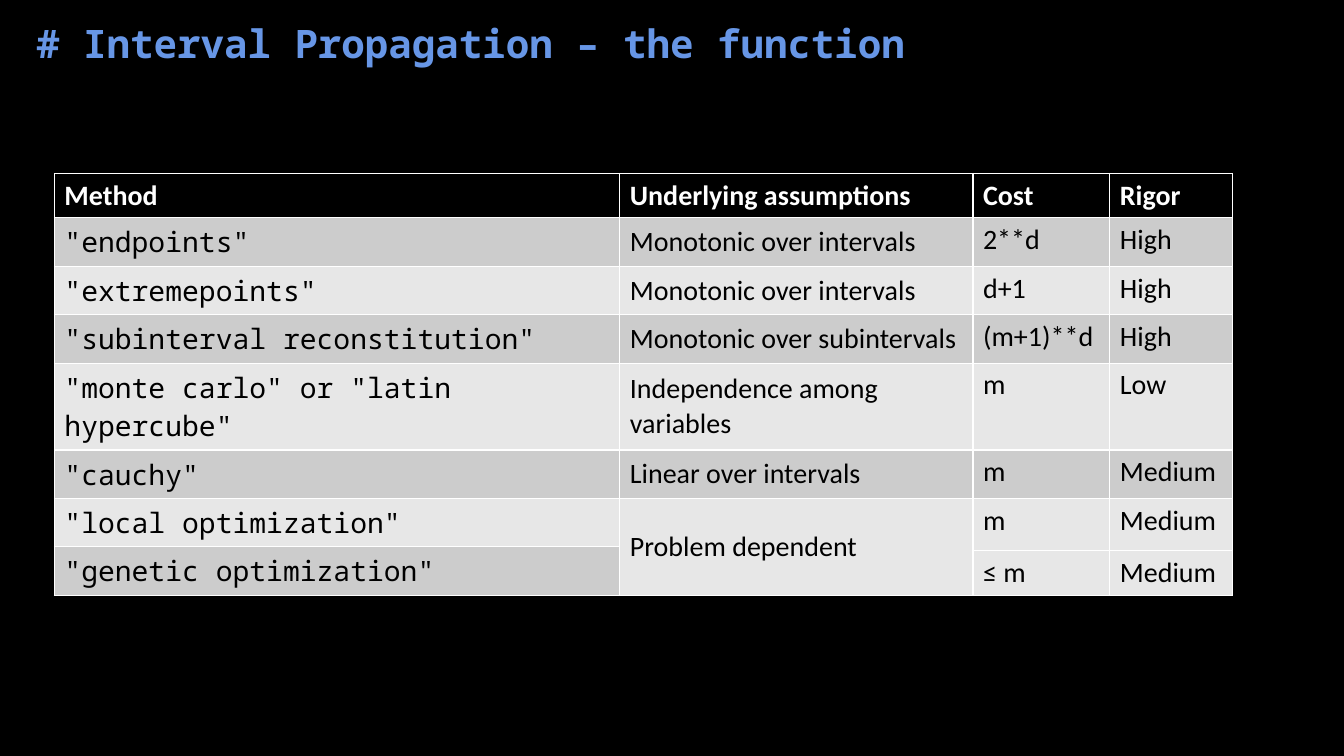
from pptx import Presentation
from pptx.dml.color import RGBColor
from pptx.enum.text import MSO_ANCHOR, MSO_AUTO_SIZE, PP_ALIGN
from pptx.util import Cm, Pt

TOP, MIDDLE = MSO_ANCHOR.TOP, MSO_ANCHOR.MIDDLE
LEFT, FIXED = PP_ALIGN.LEFT, MSO_AUTO_SIZE.NONE
MONO, SANS = "Noto Sans Mono", "Calibri"


def paint(color, value):
    color.rgb = RGBColor.from_string(value)


def style(text, value, **form):
    for para in text.paragraphs:
        for key, item in form.items():
            setattr(para.font, key, item)
        paint(para.font.color, value)


deck = Presentation()
deck.slide_width, deck.slide_height = Cm(33.87), Cm(19.05)
slide = deck.slides.add_slide(deck.slide_layouts[5])
slide.background.fill.solid()
paint(slide.background.fill.fore_color, "000000")

# Title
title = slide.shapes.title
box = {"left": 0.66, "top": 0.5, "width": 29.92, "height": 1.6}
for key, size in box.items():
    setattr(title, key, Cm(size))
text = title.text_frame
text.text = "# Interval Propagation – the function"
text.auto_size, text.vertical_anchor = FIXED, TOP
head = text.paragraphs[0]
head.alignment, head.line_spacing, head.space_before = LEFT, 0.9, Pt(0)
style(text, "6796E6", name=MONO, size=Pt(28), bold=True)

# Table grid: the thin row lets the last two columns split lower
rows = [
    ("Method", "Underlying assumptions", "Cost", "Rigor"),
    ('"endpoints"', "Monotonic over intervals", "2**d", "High"),
    ('"extremepoints"', "Monotonic over intervals", "d+1", "High"),
    ('"subinterval reconstitution"', "Monotonic over subintervals",
     "(m+1)**d", "High"),
    ('"monte carlo" or "latin hypercube"', "Independence among variables",
     "m", "Low"),
    ('"cauchy"', "Linear over intervals", "m", "Medium"),
    ('"local optimization"', "Problem dependent", "m", "Medium"),
    ('"genetic optimization"', "", "", ""),
    ("", "", "≤ m", "Medium"),
]
wide = [14.25, 8.9, 3.45, 3.1]
high = [1.12, 1.22, 1.22, 1.22, 2.19, 1.22, 1.22, 0.1, 1.12]
grid = slide.shapes.add_table(len(rows), len(wide), Cm(1.37), Cm(4.37),
                              Cm(sum(wide)), Cm(sum(high))).table
for col, size in zip(grid.columns, wide):
    col.width = Cm(size)
for row, size in zip(grid.rows, high):
    row.height = Cm(size)

# Merged cells: first row, last row, column
for first, last, col in [(6, 8, 1), (6, 7, 2), (6, 7, 3), (7, 8, 0)]:
    grid.cell(first, col).merge(grid.cell(last, col))

# Cell text and fills
for r, row in enumerate(rows):
    for c, word in enumerate(row):
        cell = grid.cell(r, c)
        if cell.is_spanned:
            continue
        top = r == 0
        cell.text = word
        cell.vertical_anchor = MIDDLE if c == 1 and not top else TOP
        cell.fill.solid()
        band = "CCCCCC" if r % 2 else "E7E7E7"
        paint(cell.fill.fore_color, "000000" if top else band)
        style(cell.text_frame, "FFFFFF" if top else "000000", size=Pt(20),
              bold=top, name=MONO if c == 0 and not top else SANS)

deck.save("out.pptx")
